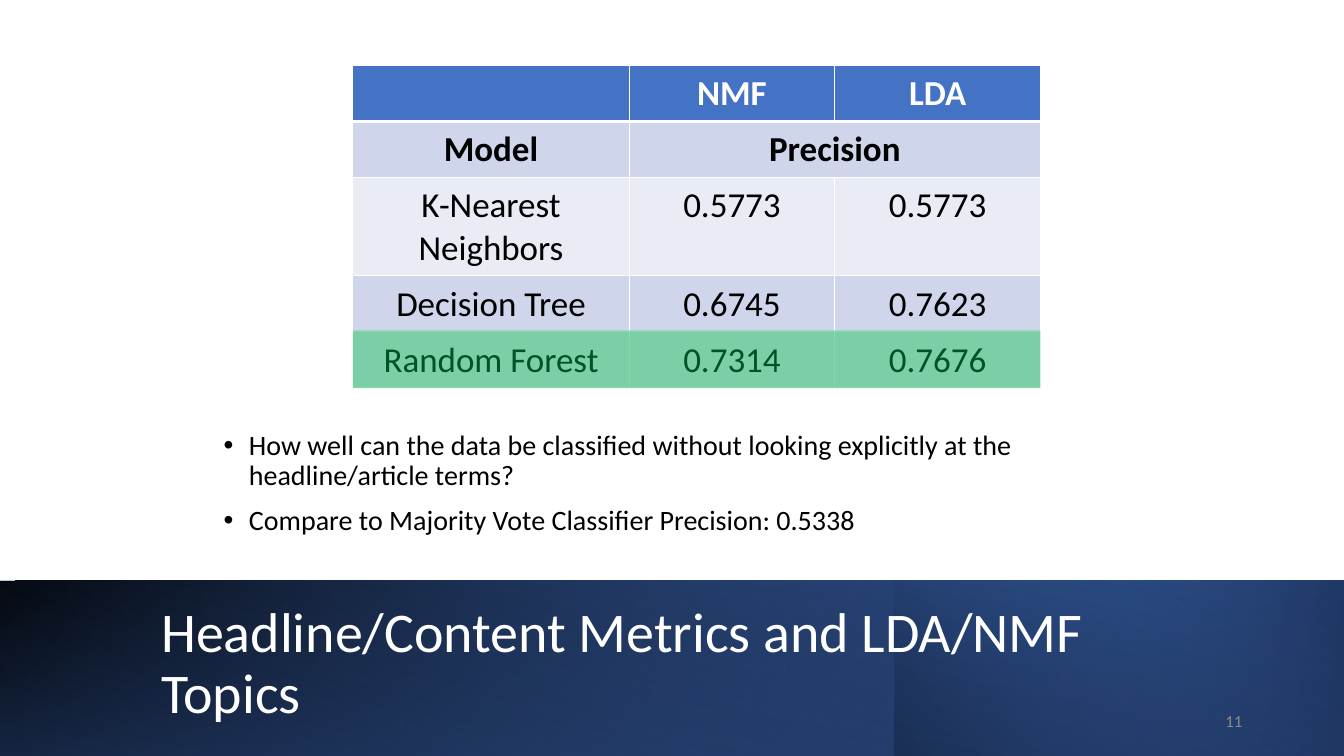
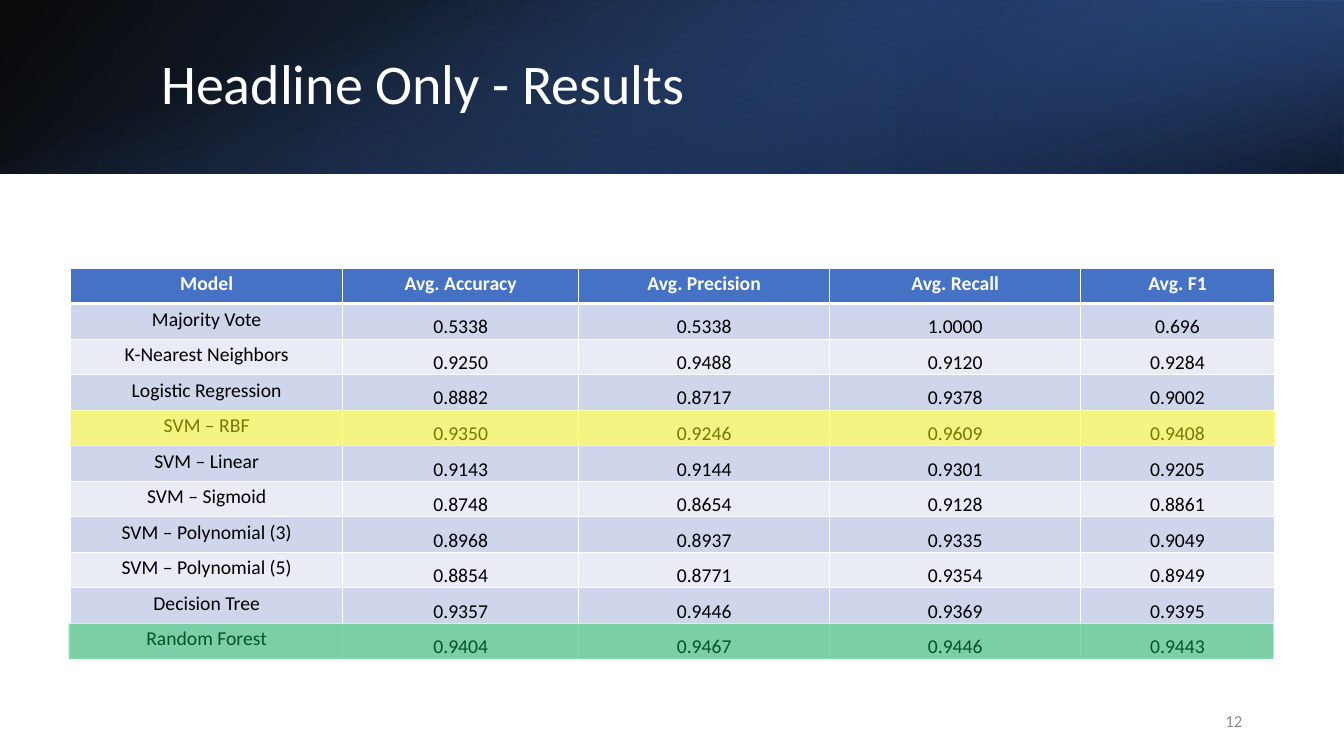
from dataclasses import dataclass

from lxml import etree
from pptx import Presentation
from pptx.dml.color import RGBColor
from pptx.enum.shapes import MSO_SHAPE
from pptx.enum.text import MSO_ANCHOR, PP_ALIGN
from pptx.oxml.ns import qn
from pptx.util import Inches, Pt

RECTANGLE = MSO_SHAPE.RECTANGLE
TOP, MIDDLE, BOTTOM = MSO_ANCHOR.TOP, MSO_ANCHOR.MIDDLE, MSO_ANCHOR.BOTTOM
LEFT, CENTER, RIGHT = PP_ALIGN.LEFT, PP_ALIGN.CENTER, PP_ALIGN.RIGHT


@dataclass(frozen=True)
class Theme:
    font: str = "Calibri"
    white: str = "FFFFFF"
    black: str = "000000"
    blue: str = "4472C4"
    mid_blue: str = "2F5597"
    navy: str = "203864"
    row_fills: tuple = ("CFD5EA", "E9EBF5")
    green: str = "00B050"
    yellow: str = "FFFF00"
    gray: str = "8C8C8C"
    highlight_alpha: int = 47
    title_size: int = 40
    body_size: int = 20
    number_size: int = 12
    line_spacing: float = 0.9


THEME = Theme()
SLIDE_WIDTH, SLIDE_HEIGHT = 13.33, 7.5

# Band layers: box, rotation, flipped, angle, two stops (position, colour, opacity)
BOTTOM_BAND = [
    ((0, 5.76, SLIDE_WIDTH, 1.74), 0, True, 140,
     [(0, THEME.black, 100), (100, THEME.blue, 100)]),
    ((0, 5.76, SLIDE_WIDTH, 1.74), 0, True, 170,
     [(0, THEME.blue, 0), (100, THEME.navy, 100)]),
    ((8.87, 5.76, 4.46, 1.74), 0, True, 220,
     [(0, THEME.navy, 100), (100, THEME.blue, 0)]),
    ((-0.01, 5.76, SLIDE_WIDTH, 1.75), 180, False, 280,
     [(0, THEME.black, 0), (99, THEME.navy, 55)]),
]
TOP_BAND = [
    ((0, 0, SLIDE_WIDTH, 1.72), 0, True, 140,
     [(0, THEME.black, 96), (100, THEME.mid_blue, 100)]),
    ((8.89, 0, 4.44, 1.72), 180, True, 320,
     [(19, THEME.navy, 68), (100, THEME.blue, 79)]),
    ((5.8, -5.8, 1.72, SLIDE_WIDTH), 90, False, 340,
     [(23, THEME.blue, 0), (99, THEME.black, 74)]),
]

PRECISION_ROWS = [
    ("", "NMF", "LDA"),
    ("Model", "Precision", ""),
    ("K-Nearest Neighbors", "0.5773", "0.5773"),
    ("Decision Tree", "0.6745", "0.7623"),
    ("Random Forest", "0.7314", "0.7676"),
]
RESULT_ROWS = [
    ("Model", "Avg. Accuracy", "Avg. Precision", "Avg. Recall", "Avg. F1"),
    ("Majority Vote", "0.5338", "0.5338", "1.0000", "0.696"),
    ("K-Nearest Neighbors", "0.9250", "0.9488", "0.9120", "0.9284"),
    ("Logistic Regression", "0.8882", "0.8717", "0.9378", "0.9002"),
    ("SVM – RBF", "0.9350", "0.9246", "0.9609", "0.9408"),
    ("SVM – Linear", "0.9143", "0.9144", "0.9301", "0.9205"),
    ("SVM – Sigmoid", "0.8748", "0.8654", "0.9128", "0.8861"),
    ("SVM – Polynomial (3)", "0.8968", "0.8937", "0.9335", "0.9049"),
    ("SVM – Polynomial (5)", "0.8854", "0.8771", "0.9354", "0.8949"),
    ("Decision Tree", "0.9357", "0.9446", "0.9369", "0.9395"),
    ("Random Forest", "0.9404", "0.9467", "0.9446", "0.9443"),
]


def rgb(color):
    return RGBColor.from_string(color)


def set_opacities(shape, opacities):
    """Give each fill colour of the shape its opacity in percent."""
    colors = list(shape.fill._xPr.iter(qn("a:srgbClr")))
    for color, opacity in zip(colors, opacities):
        if opacity < 100:
            etree.SubElement(color, qn("a:alpha"), val=str(opacity * 1000))


def add_rectangle(slide, box):
    shape = slide.shapes.add_shape(RECTANGLE, *map(Inches, box))
    shape.shadow.inherit = False
    shape.line.fill.background()
    return shape


def add_band(slide, layers):
    for box, rotation, flipped, angle, stops in layers:
        shape = add_rectangle(slide, box)
        shape.rotation = rotation
        if flipped:
            shape._element.spPr.find(qn("a:xfrm")).set("flipH", "1")
        shape.fill.gradient()
        shape.fill.gradient_angle = 360 - angle  # counter-clockwise
        for stop, (position, color, _) in zip(shape.fill.gradient_stops, stops):
            stop.position = position / 100
            stop.color.rgb = rgb(color)
        set_opacities(shape, [opacity for _, _, opacity in stops])


def add_highlight(slide, box, color):
    shape = add_rectangle(slide, box)
    shape.fill.solid()
    shape.fill.fore_color.rgb = rgb(color)
    set_opacities(shape, [THEME.highlight_alpha])


def style_paragraph(paragraph, size, color, align=LEFT, bold=False):
    paragraph.alignment = align
    font = paragraph.font
    font.name, font.size, font.bold = THEME.font, Pt(size), bold
    font.color.rgb = rgb(color)


def add_text(slide, box, lines, size, color, align=LEFT):
    frame = slide.shapes.add_textbox(*map(Inches, box)).text_frame
    frame.word_wrap = True
    frame.vertical_anchor = MIDDLE
    frame.text = "\n".join(lines)
    for paragraph in frame.paragraphs:
        style_paragraph(paragraph, size, color, align)
    return frame.paragraphs


def add_title(slide, box, title):
    paragraph = add_text(slide, box, [title], THEME.title_size, THEME.white)[0]
    paragraph.line_spacing = THEME.line_spacing


def add_bullets(slide, box, lines):
    for paragraph in add_text(slide, box, lines, THEME.body_size, THEME.black):
        paragraph.line_spacing = THEME.line_spacing
        paragraph.space_before = Pt(10)
        properties = paragraph._p.get_or_add_pPr()
        properties.set("marL", str(Inches(0.25)))
        properties.set("indent", str(-Inches(0.25)))
        bullet_font = etree.Element(qn("a:buFont"), typeface="Arial")
        bullet = etree.Element(qn("a:buChar"), char="•")
        properties.find(qn("a:defRPr")).addprevious(bullet_font)
        bullet_font.addnext(bullet)


def add_slide_number(slide, number):
    add_text(slide, (9.42, 6.95, 3, 0.4), [str(number)],
             THEME.number_size, THEME.gray, RIGHT)


def set_borders(cell, bottom_width):
    properties = cell._tc.get_or_add_tcPr()
    widths = {"lnL": 1, "lnR": 1, "lnT": 1, "lnB": bottom_width}
    for index, (tag, width) in enumerate(widths.items()):
        line = etree.Element(qn(f"a:{tag}"), w=str(Pt(width)))
        fill = etree.SubElement(line, qn("a:solidFill"))
        etree.SubElement(fill, qn("a:srgbClr"), val=THEME.white)
        properties.insert(index, line)


def style_cell(cell, text, row, size, bold, margins, anchor):
    cell.text = text
    cell.vertical_anchor = anchor
    (cell.margin_left, cell.margin_top,
     cell.margin_right, cell.margin_bottom) = map(Inches, margins)
    header = row == 0
    cell.fill.solid()
    cell.fill.fore_color.rgb = rgb(
        THEME.blue if header else THEME.row_fills[(row - 1) % 2])
    style_paragraph(cell.text_frame.paragraphs[0], size,
                    THEME.white if header else THEME.black, CENTER, bold)
    set_borders(cell, 3 if header else 1)


def add_table(slide, left, top, widths, heights, rows, size, margins,
              figure_margins=None, figure_anchor=TOP, bold_rows=1):
    """Add a banded table; figures are the cells right of the first column."""
    table = slide.shapes.add_table(
        len(rows), len(widths), Inches(left), Inches(top),
        Inches(sum(widths)), Inches(sum(heights))).table
    table.horz_banding = False
    for column, width in zip(table.columns, widths):
        column.width = Inches(width)
    for row, (texts, height) in enumerate(zip(rows, heights)):
        table.rows[row].height = Inches(height)
        for column, text in enumerate(texts):
            figure = row > 0 and column > 0
            style_cell(table.cell(row, column), text, row, size,
                       row < bold_rows,
                       figure_margins if figure and figure_margins else margins,
                       figure_anchor if figure else TOP)
    return table


def build_topics_slide(slide):
    add_band(slide, BOTTOM_BAND)
    add_title(slide, (1.5, 6.03, 10.82, 1.13),
              "Headline/Content Metrics and LDA/NMF Topics")
    add_bullets(slide, (2.12, 4.19, 9.11, 1.22), [
        "How well can the data be classified without looking explicitly "
        "at the headline/article terms?",
        "Compare to Majority Vote Classifier Precision: 0.5338",
    ])
    table = add_table(slide, 3.5, 0.65, [2.74, 2.04, 2.04],
                      [0.5, 0.5, 0.84, 0.5, 0.5], PRECISION_ROWS, 25,
                      (0.14, 0.07, 0.14, 0.07), bold_rows=2)
    table.cell(1, 1).merge(table.cell(1, 2))
    add_highlight(slide, (3.5, 3.28, 6.82, 0.57), THEME.green)
    add_slide_number(slide, 11)


def build_results_slide(slide):
    add_band(slide, TOP_BAND)
    add_title(slide, (1.5, 0.38, 10.98, 0.96), "Headline Only - Results")
    left, top, width = 0.7, 2.66, 11.95
    row_height = 3.88 / len(RESULT_ROWS)
    add_table(slide, left, top, [2.7, 2.34, 2.49, 2.49, 1.92],
              [row_height] * len(RESULT_ROWS), RESULT_ROWS, 14,
              (0.08, 0.04, 0.08, 0.04), (0.01, 0.01, 0.01, 0), BOTTOM)
    # Best model in green, runner-up in yellow
    for row, start, color in ((10, 0.68, THEME.green), (4, left, THEME.yellow)):
        add_highlight(slide, (start, top + row * row_height, width, row_height),
                      color)
    add_slide_number(slide, 12)


def main():
    presentation = Presentation()
    presentation.slide_width = Inches(SLIDE_WIDTH)
    presentation.slide_height = Inches(SLIDE_HEIGHT)
    blank = presentation.slide_layouts[6]
    for build in (build_topics_slide, build_results_slide):
        build(presentation.slides.add_slide(blank))
    presentation.save("out.pptx")


if __name__ == "__main__":
    main()
